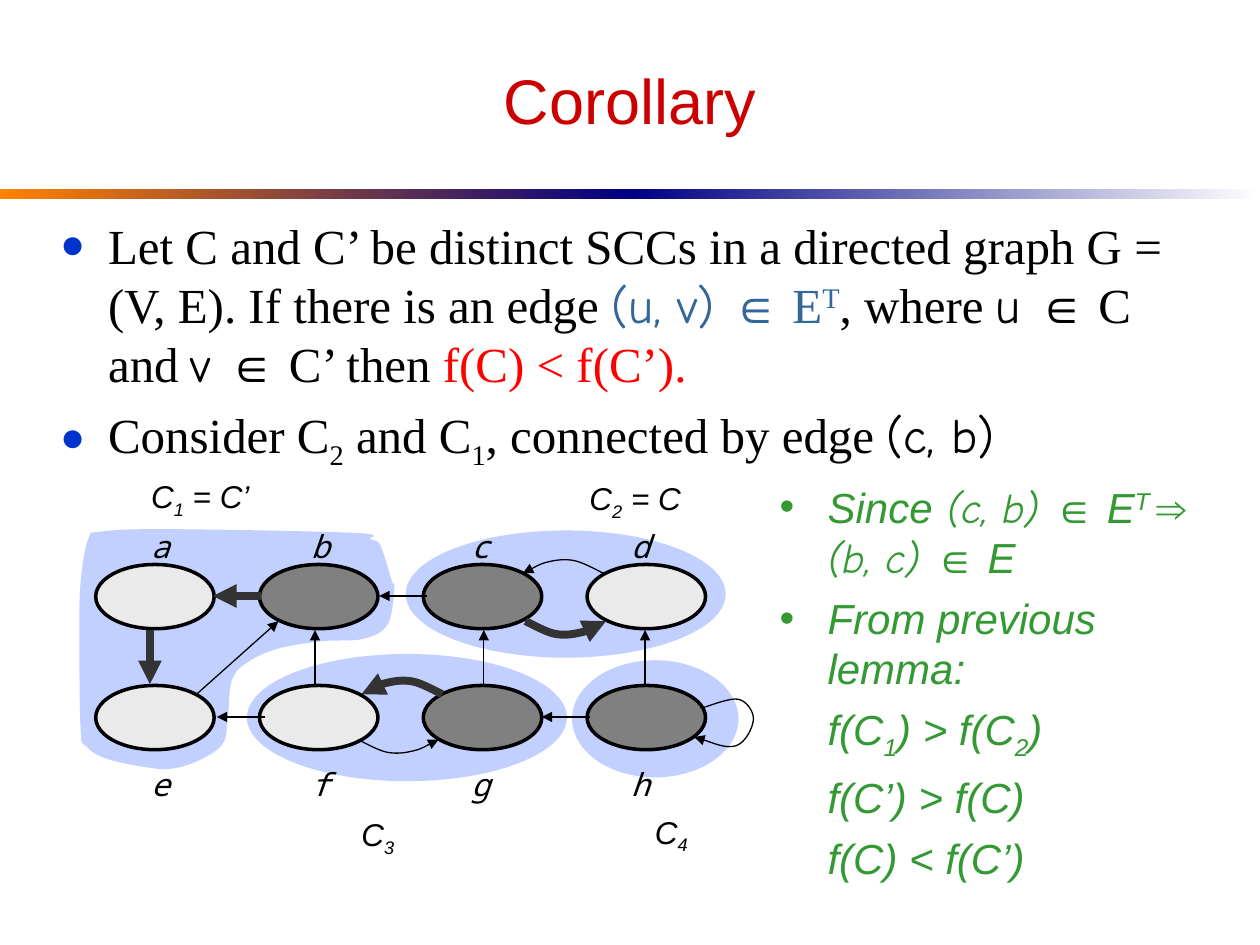
from dataclasses import dataclass

from lxml import etree
from pptx import Presentation
from pptx.dml.color import RGBColor
from pptx.enum.shapes import MSO_CONNECTOR, MSO_SHAPE
from pptx.enum.text import MSO_ANCHOR, MSO_AUTO_SIZE, PP_ALIGN
from pptx.oxml.ns import qn
from pptx.util import Inches, Pt

RECT, OVAL = MSO_SHAPE.RECTANGLE, MSO_SHAPE.OVAL
LINE = MSO_CONNECTOR.STRAIGHT
CENTER, MIDDLE = PP_ALIGN.CENTER, MSO_ANCHOR.MIDDLE
GROW = MSO_AUTO_SIZE.SHAPE_TO_FIT_TEXT


@dataclass(frozen=True)
class Theme:
    title: str = "CC0000"
    ink: str = "000000"
    steel: str = "336699"
    red: str = "FF0000"
    green: str = "339933"
    dot: str = "0033CC"
    area: str = "3366FF"
    light: str = "EAEAEA"
    dark: str = "808080"
    bold: str = "333333"
    bar: tuple = ("FF8200", "000082", "FFFFFF")
    sans: str = "Arial"
    serif: str = "Times New Roman"
    hand: str = "Comic Neue"
    mono: str = "Noto Sans Mono"
    head_size: int = 36
    body_size: int = 28
    side_size: int = 24
    tag_size: int = 18
    thin: float = 0.75
    thick: float = 4.5


T = Theme()
COL, STEP = 0.76, 1.3
ROWS = (4.48, 5.44)
NODE_W, NODE_H = 0.94, 0.51
REGION = [
    (0.8, 4.22), (1.34, 4.2), (2.82, 4.23), (2.94, 4.28), (3.02, 4.33),
    (3.11, 4.61), (3.13, 4.66), (3.08, 4.95), (2.89, 5.07), (2.55, 5.09),
    (2.2, 5.15), (1.96, 5.26), (1.84, 5.4), (1.81, 5.68), (1.77, 5.9),
    (1.59, 6.03), (1.37, 6.1), (1.16, 6.09), (0.84, 6.02), (0.68, 5.92),
    (0.64, 5.79), (0.63, 5.04), (0.64, 4.62), (0.7, 4.28),
]
LOOP = [(5.57, 5.62), (5.86, 5.55), (5.98, 5.71), (5.84, 5.92), (5.51, 5.85)]


def rgb(code):
    return RGBColor.from_string(code)


def write(para, text, font=T.sans, size=T.tag_size, color=T.ink, italic=False, base=0):
    run = para.add_run()
    run.text = text
    style = run.font
    style.name, style.size, style.italic = font, Pt(size), italic
    style.color.rgb = rgb(color)
    props = run._r.get_or_add_rPr()
    etree.SubElement(props, qn("a:ea"), typeface=font)
    if base:
        props.set("baseline", str(base * 1000))


def fill_para(para, runs, **base):
    for text, extra in runs:
        write(para, text, **{**base, **extra})


def text_box(slide, x, y, w, h, wrap=True):
    box = slide.shapes.add_textbox(Inches(x), Inches(y), Inches(w), Inches(h))
    box.text_frame.word_wrap = wrap
    return box.text_frame


def tag(slide, x, y, w, h, runs, font=T.sans):
    frame = text_box(slide, x, y, w, h, wrap=False)
    frame.auto_size = GROW
    fill_para(frame.paragraphs[0], runs, font=font, italic=True)


def indent(para, space, mark=None, color=None, scale=100, font=T.sans):
    para.space_before = Pt(space)
    props = para._p.get_or_add_pPr()
    left = Inches(0.38)
    props.set("marL", str(left))
    props.set("indent", str(-left if mark else 0))
    if mark:
        tint = etree.SubElement(props, qn("a:buClr"))
        etree.SubElement(tint, qn("a:srgbClr"), val=color)
        etree.SubElement(props, qn("a:buSzPct"), val=str(scale * 1000))
        etree.SubElement(props, qn("a:buFont"), typeface=font)
        etree.SubElement(props, qn("a:buChar"), char=mark)


def paint(shape, color, clear=None, edge=None):
    shape.shadow.inherit = False
    shape.fill.solid()
    shape.fill.fore_color.rgb = rgb(color)
    if clear:
        tint = shape._element.spPr.find(".//" + qn("a:srgbClr"))
        etree.SubElement(tint, qn("a:alpha"), val=str(clear * 1000))
    if edge:
        shape.line.color.rgb = rgb(edge)
        shape.line.width = Pt(2)
    else:
        shape.line.fill.background()


def preset(slide, kind, x, y, w, h):
    return slide.shapes.add_shape(kind, Inches(x), Inches(y), Inches(w), Inches(h))


def bar(slide, x, start, end):
    shape = preset(slide, RECT, x, 1.5, 5, 0.08)
    shape.shadow.inherit = False
    shape.line.fill.background()
    shape.fill.gradient()
    shape.fill.gradient_angle = 0
    for stop, color in zip(shape.fill.gradient_stops, (start, end)):
        stop.color.rgb = rgb(color)


def curve(slide, knots, closed=False):
    """A smooth outline: each segment becomes a Bezier through its knots."""
    spots = [(Inches(x), Inches(y)) for x, y in knots]
    build = slide.shapes.build_freeform(*spots[0])
    build.add_line_segments(spots[1:] + spots[:1] if closed else spots[1:], close=closed)
    shape = build.convert_to_shape()
    spots = [(x - shape.left, y - shape.top) for x, y in spots]
    if closed:
        ring = [spots[-1], *spots, *spots[:2]]
    else:
        ring = [spots[0], *spots, spots[-1]]
    parts = shape._element.spPr.findall(".//" + qn("a:lnTo"))
    for part, a, b, c, d in zip(parts, ring, ring[1:], ring[2:], ring[3:]):
        part.tag = qn("a:cubicBezTo")
        leave = [q + (r - p) / 6 for p, q, r in zip(a, b, c)]
        reach = [r - (s - q) / 6 for q, r, s in zip(b, c, d)]
        for n, (x, y) in enumerate((leave, reach)):
            spot = etree.Element(qn("a:pt"), x=str(round(x)), y=str(round(y)))
            part.insert(n, spot)
    return shape


def arrow(line, thick):
    line.color.rgb = rgb(T.bold if thick else T.ink)
    line.width = Pt(T.thick if thick else T.thin)
    etree.SubElement(line._get_or_add_ln(), qn("a:tailEnd"), type="triangle")


def edge(slide, x1, y1, x2, y2, thick=False):
    link = slide.shapes.add_connector(LINE, Inches(x1), Inches(y1), Inches(x2), Inches(y2))
    arrow(link.line, thick)
    etree.SubElement(link._element.spPr, qn("a:effectLst"))


def bend(slide, knots, thick=False):
    shape = curve(slide, knots)
    shape.shadow.inherit = False
    shape.fill.background()
    arrow(shape.line, thick)


def arc(slide, x, y, way, thick=False):
    """Rightward arcs sag (way 1), leftward arcs rise (way -1)."""
    steps = ((0, 0), (0.23, 0.1), (0.44, 0.09), (0.64, 0))
    bend(slide, [(x + way * dx, y + way * dy) for dx, dy in steps], thick)


def claim(slide):
    frame = text_box(slide, 0.38, 1.66, 9, 2.49)
    hand, sign = {"font": T.hand}, {"font": T.sans}
    blue, sub = {"color": T.steel}, {"base": -25}
    first = [
        ("Let C and C’ be distinct SCCs in a directed graph G = (V, E). "
         "If there is an edge ", {}),
        ("(u, v) ", hand | blue), ("∈", sign | blue), (" E", blue),
        ("T", blue | {"base": 30}), (", where ", {}), ("u ", hand), ("∈", sign),
        (" C and ", {}), ("v ", hand), ("∈", sign), (" C’ then ", {}),
        ("f(C) < f(C’).", {"color": T.red}),
    ]
    second = [("Consider C", {}), ("2", sub), (" and C", {}), ("1", sub),
              (", connected by edge ", {}), ("(c, b)", hand)]
    for para, runs in zip((frame.paragraphs[0], frame.add_paragraph()), (first, second)):
        indent(para, 7, "●", T.dot, 85, T.serif)
        fill_para(para, runs, font=T.serif, size=T.body_size)


def proof(slide):
    frame = text_box(slide, 6.09, 3.77, 3.63, 3.18)
    hand, sub = {"font": T.hand}, {"base": -25}
    lines = [
        ("•", [("Since", {}), (" (c, b) ", hand), ("∈ E", {}), ("T ", {"base": 30}),
               ("⇒ ", {}), ("(b, c) ", hand), ("∈ E", {})]),
        ("•", [("From previous lemma:", {})]),
        (None, [("f(C", {}), ("1", sub), (") > f(C", {}), ("2", sub), (")", {})]),
        (None, [("f(C’) > f(C)", {})]),
        (None, [("f(C) < f(C’)", {})]),
    ]
    for n, (mark, runs) in enumerate(lines):
        para = frame.add_paragraph() if n else frame.paragraphs[0]
        indent(para, 6, mark, T.green)
        fill_para(para, runs, size=T.side_size, color=T.green, italic=True)


def graph(slide):
    # Component areas and their names
    paint(curve(slide, REGION, closed=True), T.area, clear=30)
    for x, y, w, h in ((4.54, 5.24, 1.32, 0.93), (3.22, 4.21, 2.54, 1.01),
                       (1.96, 5.19, 2.54, 1.01)):
        paint(preset(slide, OVAL, x, y, w, h), T.area, clear=30)
    for x, y, w, sub, rest in ((1.1, 3.74, 0.98, "1", " = C’"), (4.58, 3.75, 0.94, "2", " = C"),
                               (2.77, 6.42, 0.46, "3", ""), (5.1, 6.4, 0.46, "4", "")):
        runs = [("C", {}), (sub, {"base": -25})] + ([(rest, {})] if rest else [])
        tag(slide, x, y, w, 0.44, runs)

    # Nodes and letters
    shades = ((T.light, T.dark, T.dark, T.light), (T.light, T.light, T.dark, T.dark))
    for y, high, names, fills in zip(ROWS, (4.13, 6.02), ("abcd", "efgh"), shades):
        for n, (name, shade) in enumerate(zip(names, fills)):
            paint(preset(slide, OVAL, COL + n * STEP, y, NODE_W, NODE_H), shade, edge=T.ink)
            tag(slide, 1.1 + n * 1.27, high, 0.34, 0.4, [(name, {})], font=T.mono)

    # Straight edges
    for x, y, thick in ((1.69, 4.73, True), (3.01, 4.73, False),
                        (1.72, 5.69, False), (4.3, 5.69, False)):
        edge(slide, x + 0.38, y, x, y, thick)
    edge(slide, 1.19, 5, 1.19, 5.43, thick=True)
    for x in (2.5, 3.84, 5.12):
        edge(slide, x, 5.44, x, 5)
    edge(slide, 1.56, 5.51, 2.21, 4.93)

    # Curved edges
    arc(slide, 3.51, 5.51, -1, thick=True)
    arc(slide, 4.79, 4.55, -1)
    arc(slide, 4.17, 4.93, 1, thick=True)
    arc(slide, 2.84, 5.87, 1)
    bend(slide, LOOP)


def main():
    deck = Presentation()
    deck.slide_width, deck.slide_height = Inches(10), Inches(7.5)
    slide = deck.slides.add_slide(deck.slide_layouts[5])

    # Title and rule
    title = slide.shapes.title
    title.left, title.top, title.width, title.height = map(Inches, (0.5, 0.25, 9, 1.08))
    title.text_frame.vertical_anchor = MIDDLE
    para = title.text_frame.paragraphs[0]
    para.alignment = CENTER
    write(para, "Corollary", size=T.head_size, color=T.title)
    for n in (0, 1):
        bar(slide, 5 * n, *T.bar[n:n + 2])

    claim(slide)
    graph(slide)
    proof(slide)
    deck.save("out.pptx")


if __name__ == "__main__":
    main()
